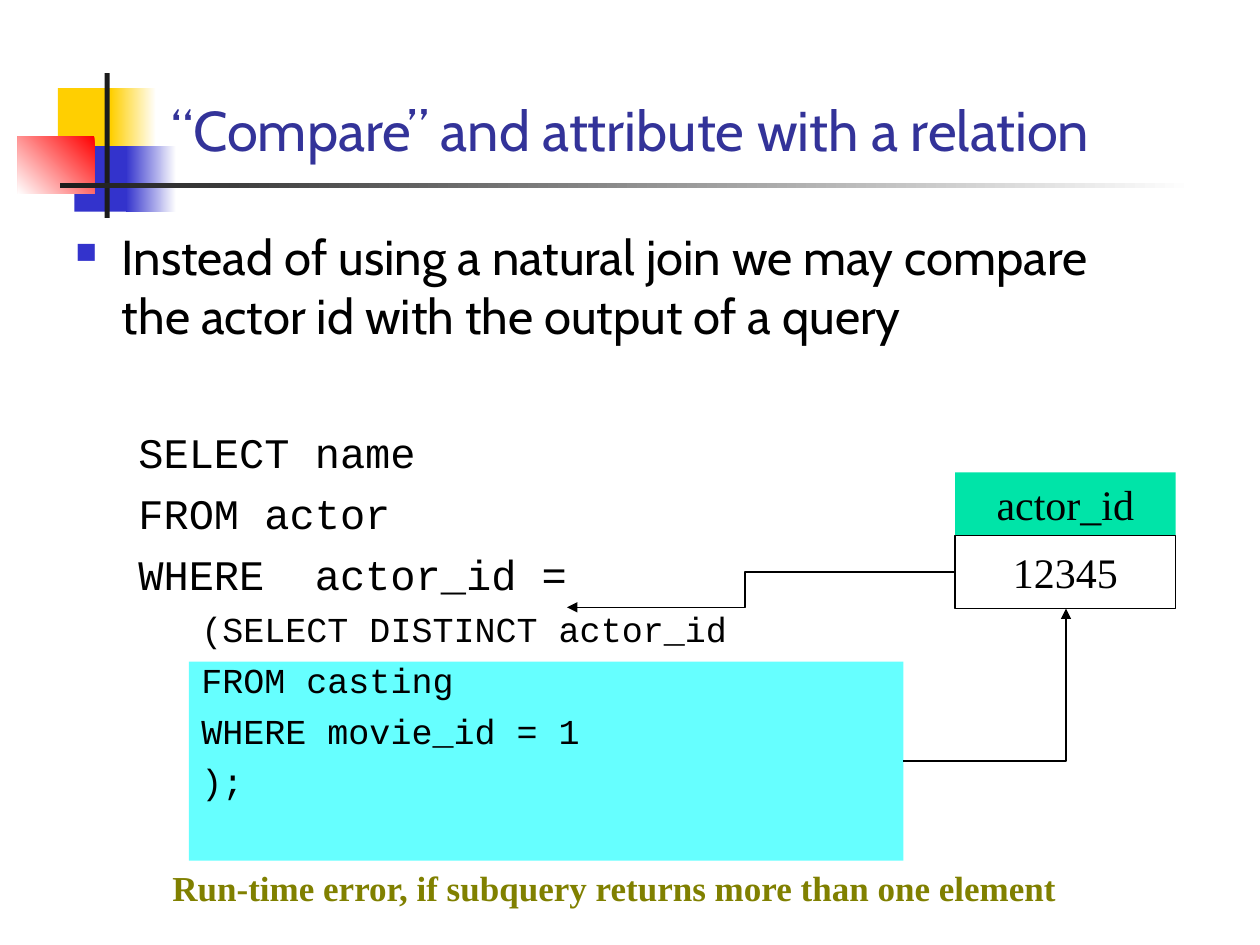
import pptx
import pptx.util
import pptx.dml.color
import pptx.enum.shapes
import pptx.enum.text
import pptx.oxml
import pptx.oxml.ns
import lxml.etree

Inches = pptx.util.Inches
Pt = pptx.util.Pt
qn = pptx.oxml.ns.qn
align = pptx.enum.text.PP_ALIGN
anchor = pptx.enum.text.MSO_ANCHOR


def hue(code):
    return pptx.dml.color.RGBColor.from_string(code)


def write(frame, text, size=24, font="Times New Roman", color="000000", bold=False,
          side=align.LEFT, before=0, left=0, hang=0, mark=None):
    para = frame.paragraphs[0]
    if para.runs:
        para = frame.add_paragraph()
    para.alignment = side
    para.space_before = Pt(before)
    run = para.add_run()
    run.text = text
    run.font.size = Pt(size)
    run.font.name = font
    run.font.bold = bold
    run.font.color.rgb = hue(color)
    props = para._p.get_or_add_pPr()
    props.set("marL", str(Inches(left)))
    props.set("indent", str(Inches(-hang)))
    if mark:
        tint = lxml.etree.SubElement(props, qn("a:buClr"))
        lxml.etree.SubElement(tint, qn("a:srgbClr")).set("val", mark)
        lxml.etree.SubElement(props, qn("a:buSzPct")).set("val", "60000")
        lxml.etree.SubElement(props, qn("a:buFont")).set("typeface", "Wingdings")
        lxml.etree.SubElement(props, qn("a:buChar")).set("char", "n")
    else:
        lxml.etree.SubElement(props, qn("a:buNone"))


deck = pptx.Presentation()
deck.slide_width = Inches(10)
deck.slide_height = Inches(7.5)
slide = deck.slides.add_slide(deck.slide_layouts[6])
shapes = slide.shapes

rects = [
    ((0.46, 0.7, 0.48, 0.52), ["FFCF01"], 0, None, None),
    ((0.88, 0.7, 0.36, 0.52), ["FFFFFF", "FFCF01"], 180, None, None),
    ((0.59, 1.16, 0.46, 0.52), ["3333CC"], 0, None, None),
    ((1, 1.16, 0.4, 0.52), ["FFFFFF", "3333CC"], 180, None, None),
    ((0.14, 1.08, 0.61, 0.46), ["FF0000", "FFFFFF"], 225, None, None),
    ((0.83, 0.58, 0.04, 1.15), ["1C1C1C"], 0, None, None),
    ((0.48, 1.45, 9, 0.04), ["FFFFFF", "1C1C1C"], 180, None, None),
    ((1.5, 5.25, 5.67, 1.58), ["66FFFF"], 0, None, None),
    ((7.58, 3.75, 1.75, 0.5), ["00E4A8"], 0, None, "actor_id"),
    ((7.58, 4.25, 1.75, 0.58), ["FFFFFF"], 0, "000000", "12345"),
]
for place, tones, angle, edge, label in rects:
    rect = shapes.add_shape(pptx.enum.shapes.MSO_SHAPE.RECTANGLE, *map(Inches, place))
    rect.shadow.inherit = False
    if len(tones) == 1:
        rect.fill.solid()
        rect.fill.fore_color.rgb = hue(tones[0])
    else:
        rect.fill.gradient()
        rect.fill.gradient_angle = angle
        for stop, tone, spot in zip(rect.fill.gradient_stops, tones, (0, 1)):
            stop.color.rgb = hue(tone)
            stop.position = spot
    if edge:
        rect.line.color.rgb = hue(edge)
        rect.line.width = Pt(0.75)
    else:
        rect.line.fill.background()
    if label:
        rect.text_frame.word_wrap = False
        rect.text_frame.vertical_anchor = anchor.MIDDLE
        write(rect.text_frame, label, side=align.CENTER)

body = shapes.add_textbox(Inches(0.5), Inches(1.75), Inches(8.5), Inches(5.25)).text_frame
body.word_wrap = True
write(body, "Instead of using a natural join we may compare the actor id with the output of a query",
      size=28, font="Cabin", before=7, left=0.37, hang=0.37, mark="3333CC")
for text, gap in [("SELECT name", 47), ("FROM actor", 6), ("WHERE  actor_id =", 6)]:
    write(body, text, font="Courier New", before=gap, left=0.81, hang=0.31)
for text in ["(SELECT DISTINCT actor_id", "FROM casting", "WHERE movie_id = 1", ");"]:
    write(body, text, size=20, font="Courier New", before=5, left=1.25, hang=0.25)

title = shapes.add_textbox(Inches(1.26), Inches(-0.1), Inches(8.52), Inches(1.44)).text_frame
title.word_wrap = True
title.vertical_anchor = anchor.BOTTOM
write(title, "“Compare” and attribute with a relation", size=32, font="Cabin", color="333399")

note = shapes.add_textbox(Inches(1.27), Inches(6.83), Inches(8.6), Inches(0.44)).text_frame
note.word_wrap = True
write(note, "Run-time error, if subquery returns more than one element",
      size=20, color="808000", bold=True)

links = [
    ((7.58, 4.54, 4.5, 4.82), "bentConnector3", 54100),
    ((7.17, 6.04, 8.46, 4.83), "bentConnector2", None),
]
for ends, kind, bend in links:
    link = shapes.add_connector(pptx.enum.shapes.MSO_CONNECTOR.ELBOW, *map(Inches, ends))
    link.line.color.rgb = hue("000000")
    link.line.width = Pt(0.75)
    props = link._element.spPr
    geom = props.find(qn("a:prstGeom"))
    geom.set("prst", kind)
    if bend:
        guide = lxml.etree.SubElement(geom.find(qn("a:avLst")), qn("a:gd"))
        guide.set("name", "adj1")
        guide.set("fmla", f"val {bend}")
    tip = lxml.etree.SubElement(props.find(qn("a:ln")), qn("a:tailEnd"))
    tip.set("type", "triangle")
    lxml.etree.SubElement(props, qn("a:effectLst"))

deck.save("out.pptx")
